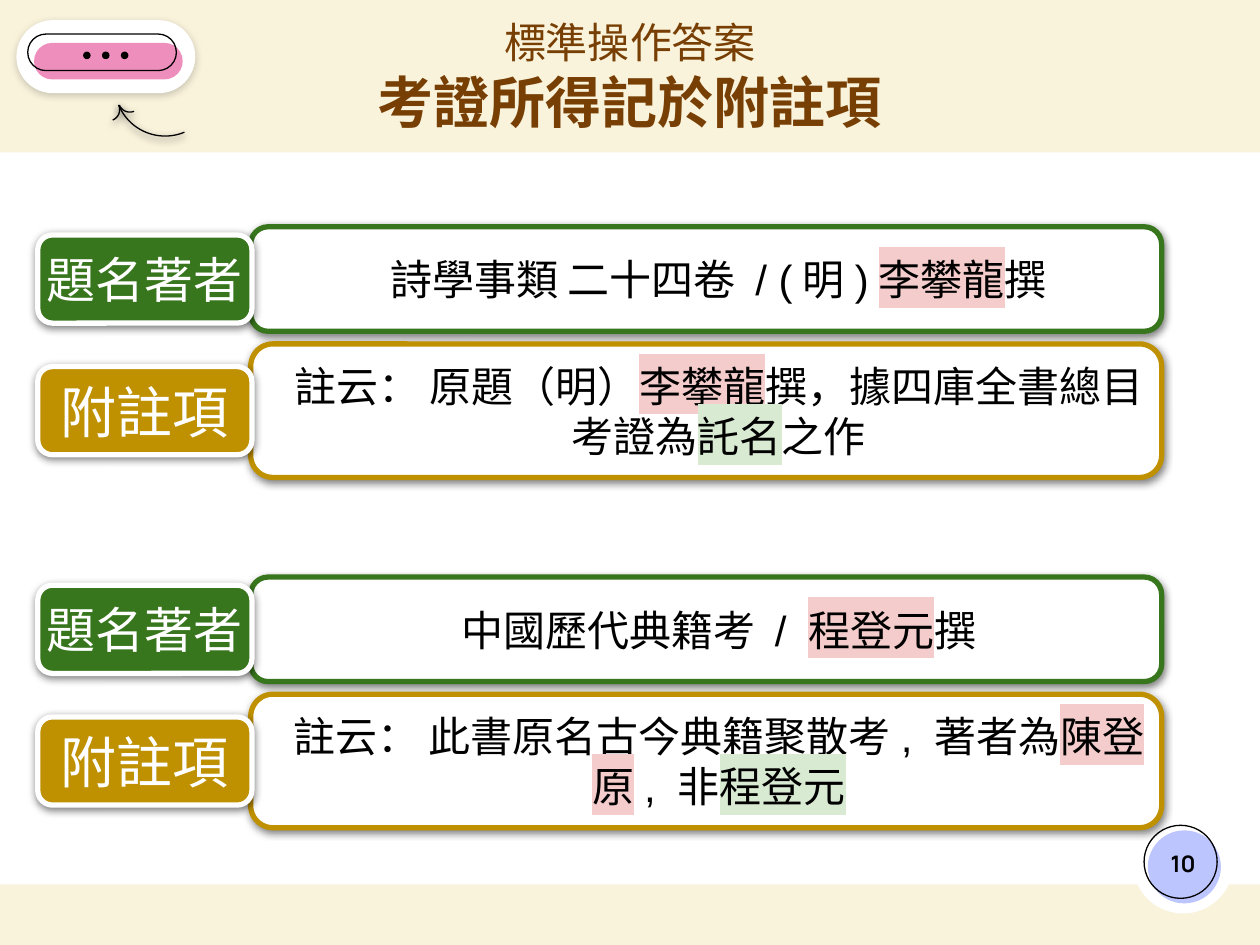
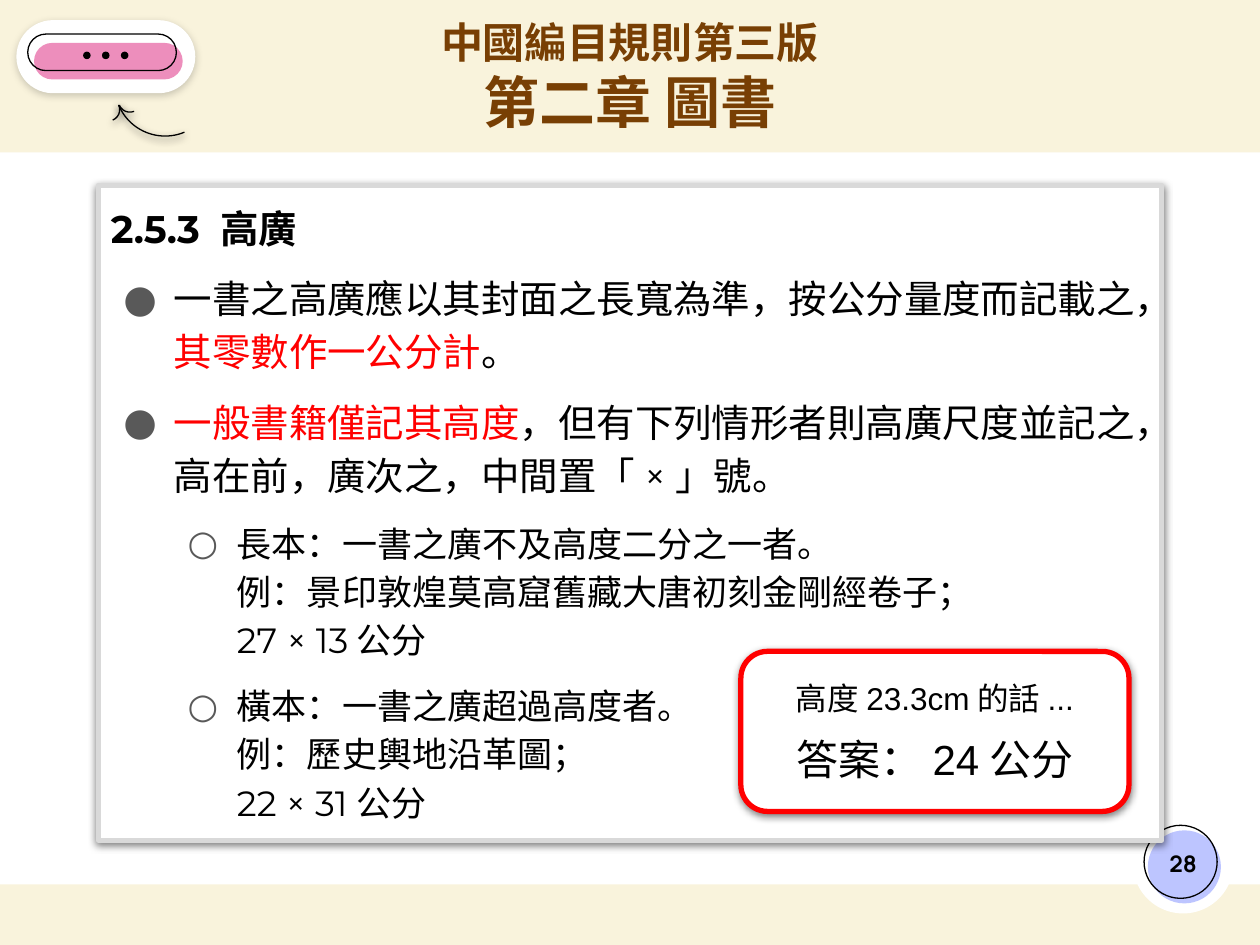
"""Build two cataloguing slides: note-area answers and the rule on book height."""
from lxml import etree
from pptx import Presentation
from pptx.dml.color import RGBColor
from pptx.enum.shapes import MSO_SHAPE
from pptx.enum.text import MSO_ANCHOR, MSO_AUTO_SIZE, PP_ALIGN
from pptx.oxml.ns import qn
from pptx.util import Inches, Pt

RECT, ROUND = MSO_SHAPE.RECTANGLE, MSO_SHAPE.ROUNDED_RECTANGLE
OVAL, ARC = MSO_SHAPE.OVAL, MSO_SHAPE.ARC
MIDDLE, TOP, CENTER, LEFT = MSO_ANCHOR.MIDDLE, MSO_ANCHOR.TOP, PP_ALIGN.CENTER, PP_ALIGN.LEFT
NO_FIT = MSO_AUTO_SIZE.NONE

CREAM, WHITE, BLACK, BROWN = "F9F3DC", "FFFFFF", "000000", "783F04"
LILAC, PINK, GREEN, GOLD = "BDC5FF", "ED8EBC", "38761D", "BF9000"
RED, SILVER, GRAY = "FF0000", "D9D9D9", "595959"
ROSE_MARK, MINT_MARK = "F4CCCC", "D9EAD3"


def style(shape, fill=None, line=None, weight=0.75, shadow=0):
    """Set fill, outline and a soft shadow of the given opacity in percent."""
    if fill:
        shape.fill.solid()
        shape.fill.fore_color.rgb = RGBColor.from_string(fill)
    else:
        shape.fill.background()
    if line:
        shape.line.color.rgb = RGBColor.from_string(line)
        shape.line.width = Pt(weight)
    else:
        shape.line.fill.background()
    shape.shadow.inherit = False
    if shadow:
        effects = shape.element.spPr.find(qn("a:effectLst"))
        outer = etree.SubElement(effects, qn("a:outerShdw"), blurRad=str(Pt(4.5)),
                                 dist=str(Pt(1.5)), dir="5400000", algn="bl", rotWithShape="0")
        tint = etree.SubElement(outer, qn("a:srgbClr"), val=BLACK)
        etree.SubElement(tint, qn("a:alpha"), val=str(shadow * 1000))


def write(shape, paragraphs, font, insets=(0.1, 0.1, 0.1, 0.1), anchor=MIDDLE, align=CENTER):
    """Fill a shape with (size, bold, runs) paragraphs; a run is (text, colour, highlight)."""
    frame = shape.text_frame
    frame.word_wrap, frame.auto_size, frame.vertical_anchor = True, NO_FIT, anchor
    (frame.margin_left, frame.margin_top,
     frame.margin_right, frame.margin_bottom) = map(Inches, insets)
    for index, (size, bold, runs) in enumerate(paragraphs):
        paragraph = frame.add_paragraph() if index else frame.paragraphs[0]
        paragraph.alignment = align
        for text, color, mark in runs:
            for number, row in enumerate(text.split("\n")):
                if number:
                    paragraph.add_line_break()
                run = paragraph.add_run()
                run.text = row
                run.font.size, run.font.bold, run.font.name = Pt(size), bold, font
                run.font.color.rgb = RGBColor.from_string(color)
                if mark:
                    highlight = etree.Element(qn("a:highlight"))
                    etree.SubElement(highlight, qn("a:srgbClr"), val=mark)
                    run.font.fill._xPr.find(qn("a:solidFill")).addnext(highlight)
        for line_break in paragraph._p.findall(qn("a:br")):
            etree.SubElement(line_break, qn("a:rPr"), sz=str(size * 100))


prs = Presentation()
prs.slide_width, prs.slide_height = Inches(10), Inches(7.5)
prs.slide_master.background.fill.solid()
prs.slide_master.background.fill.fore_color.rgb = RGBColor.from_string(CREAM)
layout = prs.slide_layouts[1]
answers = prs.slides.add_slide(layout)
rule = prs.slides.add_slide(layout)

decor = [
    (RECT, (0, 1.21, 10, 5.81), WHITE, None, 0),
    (OVAL, (8.99, 6.45, 0.8, 0.8), WHITE, None, 0),
    (OVAL, (9.11, 6.59, 0.58, 0.58), LILAC, None, 0),
    (OVAL, (9.08, 6.55, 0.58, 0.58), None, BLACK, 0),
    (ARC, (0.91, 0.28, 0.8, 0.8), None, BLACK, 68),
    (ARC, (0.94, 0.71, 0.18, 0.18), None, BLACK, 68),
    (ARC, (0.77, 0.78, 0.18, 0.18), None, BLACK, 68),
    (ROUND, (0.13, 0.16, 1.42, 0.58), WHITE, None, 19),
    (ROUND, (0.27, 0.34, 1.18, 0.29), PINK, None, 0),
    (ROUND, (0.22, 0.27, 1.18, 0.29), None, BLACK, 0),
]
decor += [(OVAL, (0.66 + 0.15 * dot, 0.41, 0.06, 0.06), BLACK, None, 0) for dot in range(3)]
for index, (preset, place, fill, line, shadow) in enumerate(decor):
    ornament = answers.shapes.add_shape(preset, *map(Inches, place))
    style(ornament, fill, line, shadow=shadow)
    if preset == ROUND:
        ornament.adjustments[0] = 0.5
    if preset == ARC:
        ornament.rotation = 157.5
        if place[0] == 0.77:
            ornament.element.spPr.find(qn("a:xfrm")).set("flipH", "1")
    ornament.element.find(".//" + qn("p:cNvPr")).set("id", str(20 + index))
    layout.shapes.element.append(ornament.element)

headings = [
    (answers, "10", "標準操作答案", False, "考證所得記於附註項"),
    (rule, "28", "中國編目規則第三版", True, "第二章 圖書"),
]
for slide, page, upper, upper_bold, lower in headings:
    title = slide.shapes.title
    title.left, title.top, title.width, title.height = map(Inches, (1.55, 0.16, 6.9, 0.98))
    write(title, [(24, upper_bold, [(upper, BROWN, None)]), (32, True, [(lower, BROWN, None)])],
          "Manrope", (0.1, 0, 0.1, 0.1))
    page_number = slide.shapes.add_textbox(*map(Inches, (9.09, 6.57, 0.6, 0.57)))
    write(page_number, [(13, True, [(page, BLACK, None)])], "Manrope")

unused_body = answers.placeholders[1].element
unused_body.getparent().remove(unused_body)
examples = [
    (1.8,
     [("詩學事類 二十四卷 / (明)", BLACK, None), ("李攀龍", BLACK, ROSE_MARK), ("撰", BLACK, None)],
     [("註云： 原題（明）", BLACK, None), ("李攀龍", BLACK, ROSE_MARK),
      ("撰，據四庫全書總目考證為", BLACK, None), ("託名", BLACK, MINT_MARK), ("之作", BLACK, None)]),
    (4.58,
     [("中國歷代典籍考 / ", BLACK, None), ("程登元", BLACK, ROSE_MARK), ("撰", BLACK, None)],
     [("註云： 此書原名古今典籍聚散考, 著者為", BLACK, None), ("陳登原", BLACK, ROSE_MARK),
      (", 非", BLACK, None), ("程登元", BLACK, MINT_MARK)]),
]
for top, statement, note in examples:
    rows = [("題名著者", 28, GREEN, statement, top, 0.83),
            ("附註項", 32, GOLD, note, top + 0.93, 1.06)]
    for label, label_size, color, runs, row_top, height in rows:
        entry = answers.shapes.add_shape(ROUND, *map(Inches, (1.99, row_top, 7.23, height)))
        style(entry, WHITE, color, 3, 50)
        write(entry, [(24, False, runs)], "Arial", (0.2, 0.1, 0, 0.1))
        tag_top = row_top + (height - 0.7) / 2
        tag = answers.shapes.add_shape(ROUND, *map(Inches, (0.3, tag_top, 1.7, 0.7)))
        style(tag, color, WHITE, 3, 50)
        write(tag, [(label_size, False, [(label, WHITE, None)])], "Arial", (0, 0.1, 0, 0.1))

clauses = rule.placeholders[1]
clauses.left, clauses.top, clauses.width, clauses.height = map(Inches, (0.78, 1.47, 8.44, 5.2))
style(clauses, WHITE, SILVER, 3, 50)
write(clauses, [
    (22, True, [("2.5.3 高廣", BLACK, None)]),
    (22, False, [("一書之高廣應以其封面之長寬為準，按公分量度而記載之，", BLACK, None),
                 ("其零數作一公分計", RED, None), ("。", BLACK, None)]),
    (22, False, [("一般書籍僅記其高度", RED, None),
                 ("，但有下列情形者則高廣尺度並記之，高在前，廣次之，中間置「×」號。", BLACK, None)]),
    (20, False, [("長本：一書之廣不及高度二分之一者。\n例：景印敦煌莫高窟舊藏大唐初刻金剛經卷子；\n"
                  "27 × 13公分", BLACK, None)]),
    (20, False, [("橫本：一書之廣超過高度者。\n例：歷史輿地沿革圖；\n22 × 31公分", BLACK, None)]),
], "Montserrat", anchor=TOP, align=LEFT)
outline = [(0, 0, 0, None), (0, 0.5, -0.4, "●"), (0, 0.5, -0.4, "●"),
           (1, 1, -0.39, "○"), (1, 1, -0.39, "○")]
for index, (level, margin, indent, bullet) in enumerate(outline):
    paragraph = clauses.text_frame.paragraphs[index]
    paragraph.level = level
    properties = paragraph._p.get_or_add_pPr()
    properties.set("marL", str(Inches(margin)))
    properties.set("indent", str(Inches(indent)))
    if bullet:
        bullet_color = etree.SubElement(properties, qn("a:buClr"))
        etree.SubElement(bullet_color, qn("a:srgbClr"), val=GRAY)
        etree.SubElement(properties, qn("a:buFont"), typeface="Montserrat")
        etree.SubElement(properties, qn("a:buChar"), char=bullet)
    else:
        etree.SubElement(properties, qn("a:buNone"))
    paragraph.line_spacing = 1.15
    paragraph.space_before = Pt(10 if index else 0)
    paragraph.space_after = Pt(0)

worked_answer = rule.shapes.add_shape(ROUND, *map(Inches, (5.88, 5.17, 3.08, 1.27)))
style(worked_answer, WHITE, RED, 3, 50)
write(worked_answer, [(18, False, [("高度23.3cm的話...", BLACK, None)]),
                      (24, False, [("答案：24公分", BLACK, None)])], "Arial")
worked_answer.text_frame.paragraphs[1].space_before = Pt(10)

prs.save("out.pptx")
